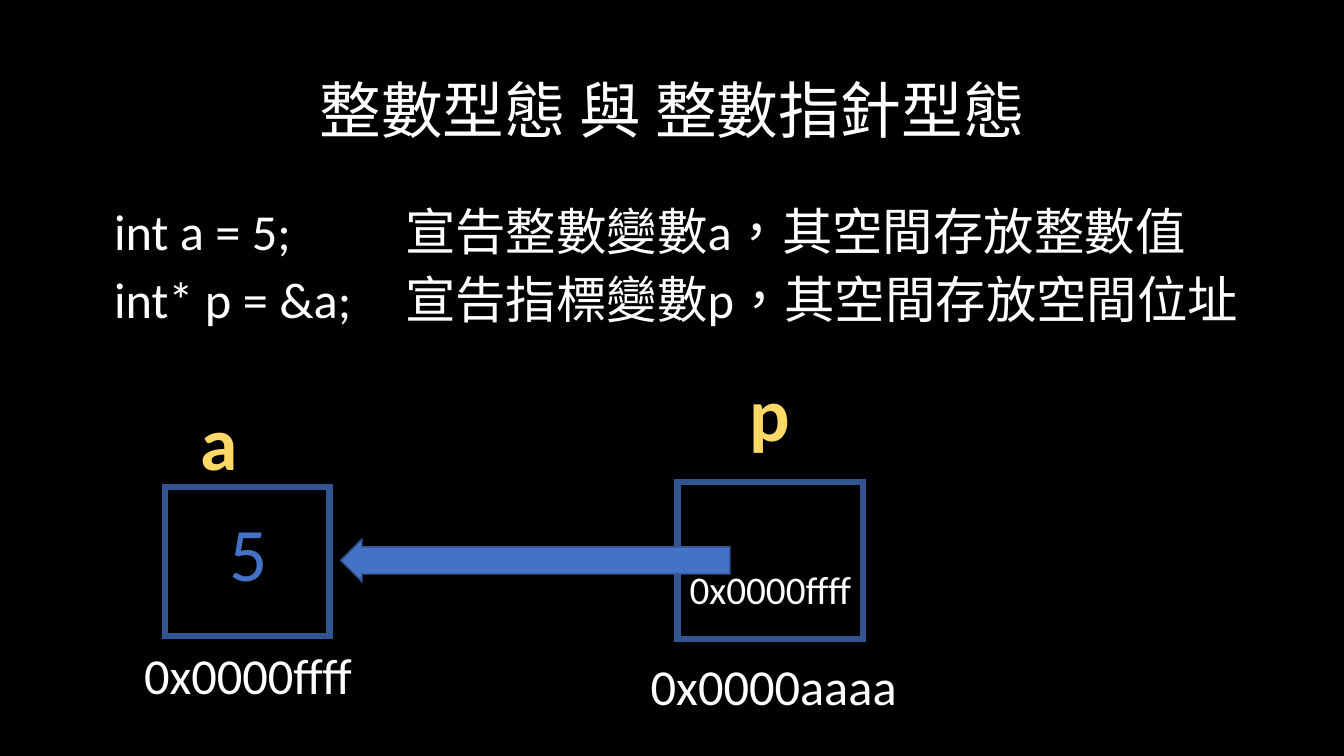
from lxml.etree import SubElement
from pptx import Presentation
from pptx.dml.color import RGBColor
from pptx.enum.lang import MSO_LANGUAGE_ID as Language
from pptx.enum.shapes import MSO_SHAPE as Shape
from pptx.enum.text import MSO_ANCHOR as Anchor, PP_ALIGN as Align
from pptx.oxml.ns import qn
from pptx.util import Inches, Pt

WHITE = "FFFFFF"
BLUE = "4472C4"
DARK_BLUE = "325491"
GOLD = "FFD966"


def color(value):
    return RGBColor.from_string(value)


def add_text(slide, box, lines, size, fill=WHITE, bold=False, align=Align.CENTER,
             anchor=Anchor.TOP, wrap=True, line_spacing=1.0, space_before=0):
    shape = slide.shapes.add_textbox(*map(Inches, box))
    frame = shape.text_frame
    frame.word_wrap = wrap
    frame.vertical_anchor = anchor
    frame.text = "\n".join(lines)
    for paragraph in frame.paragraphs:
        paragraph.alignment = align
        paragraph.line_spacing = line_spacing
        paragraph.space_before = Pt(space_before)
        paragraph.font.name = "Calibri"
        paragraph.font.size = Pt(size)
        paragraph.font.bold = bold
        paragraph.font.color.rgb = color(fill)
        paragraph._p.get_or_add_pPr().set("defTabSz", str(Inches(1)))
        for run in paragraph.runs:
            run.font.language_id = Language.TRADITIONAL_CHINESE


def add_outlined(slide, kind, box, line_width, fill=None):
    shape = slide.shapes.add_shape(kind, *map(Inches, box))
    shape.shadow.inherit = False
    if fill:
        shape.fill.solid()
        shape.fill.fore_color.rgb = color(fill)
    else:
        shape.fill.background()
    shape.line.color.rgb = color(DARK_BLUE)
    shape.line.width = Pt(line_width)
    outline = shape._element.spPr.find(qn("a:ln"))
    SubElement(outline, qn("a:miter")).set("lim", "800000")
    return shape


def add_memory_cell(slide, box):
    add_outlined(slide, Shape.RECTANGLE, box, 4.5)


def add_variable_name(slide, box, name):
    add_text(slide, box, [name], 54, GOLD, bold=True, wrap=False)


def add_pointer_arrow(slide, box):
    arrow = add_outlined(slide, Shape.LEFT_ARROW, box, 1, BLUE)
    arrow.adjustments[0] = 0.64
    arrow.adjustments[1] = 0.5


def main():
    presentation = Presentation()
    presentation.slide_width = Inches(13.33)
    presentation.slide_height = Inches(7.5)
    slide = presentation.slides.add_slide(presentation.slide_layouts[6])
    slide.background.fill.solid()
    slide.background.fill.fore_color.rgb = color("000000")

    add_text(slide, (0.92, 0.4, 11.5, 1.45), ["整數型態 與 整數指針型態"], 44,
             anchor=Anchor.MIDDLE, line_spacing=0.9)
    declarations = [
        " int a = 5;\t\t宣告整數變數a，其空間存放整數值",
        " int* p = &a;\t宣告指標變數p，其空間存放空間位址",
    ]
    add_text(slide, (0.92, 2, 11.5, 4.76), declarations, 36,
             align=Align.LEFT, line_spacing=0.9, space_before=10)

    add_memory_cell(slide, (1.64, 4.83, 1.63, 1.48))
    add_text(slide, (2.17, 4.97, 0.59, 1.01), ["5"], 54, BLUE, wrap=False)
    add_variable_name(slide, (1.88, 3.87, 0.58, 1.01), "a")

    add_memory_cell(slide, (6.72, 4.78, 1.84, 1.56))
    add_variable_name(slide, (7.33, 3.58, 0.61, 1.01), "p")
    add_pointer_arrow(slide, (3.38, 5.35, 3.86, 0.42))

    add_text(slide, (0.6, 6.34, 3.72, 0.71), ["0x0000ffff"], 36)
    add_text(slide, (6.52, 5.56, 2.24, 0.57), ["0x0000ffff"], 28)
    add_text(slide, (6.34, 6.45, 2.67, 0.71), ["0x0000aaaa"], 36, wrap=False)

    presentation.save("out.pptx")


if __name__ == "__main__":
    main()
